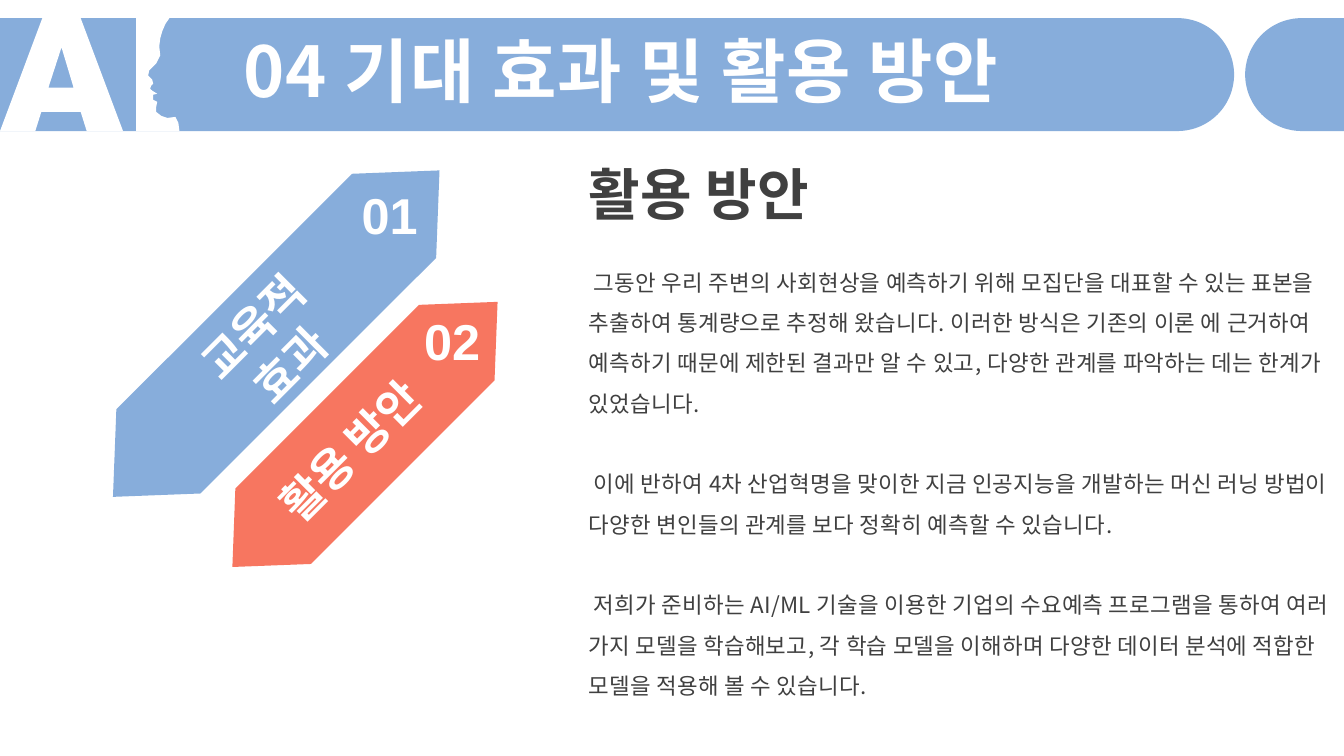
import math
from pptx import Presentation
from pptx.dml.color import RGBColor
from pptx.enum import shapes, text
from pptx.oxml import parse_xml
from pptx.oxml.ns import nsdecls
from pptx.util import Inches, Pt

COLORS = {"blue": "87ADDB", "coral": "F77660", "white": "FFFFFF", "ink": "404040"}
KOREAN = "Noto Sans CJK KR"
LATIN = "Arial"
TITLE = "04 기대 효과 및 활용 방안"
HEADING = "활용 방안"
BODY = [
    " 그동안 우리 주변의 사회현상을 예측하기 위해 모집단을 대표할 수 있는 표본을 추출하여 통계량으로 추정해 왔습니다. 이러한 방식은 기존의 이론 에 근거하여 예측하기 때문에 제한된 결과만 알 수 있고, 다양한 관계를 파악하는 데는 한계가 있었습니다.",
    " 이에 반하여 4차 산업혁명을 맞이한 지금 인공지능을 개발하는 머신 러닝 방법이 다양한 변인들의 관계를 보다 정확히 예측할 수 있습니다.",
    " 저희가 준비하는 AI/ML 기술을 이용한 기업의 수요예측 프로그램을 통하여 여러 가지 모델을 학습해보고, 각 학습 모델을 이해하며 다양한 데이터 분석에 적합한 모델을 적용해 볼 수 있습니다.",
]
ARROWS = [
    ((0.45, 2.72, 4.58, 1.18), "blue", "01", (3.43, 1.78), "교육적 효과", (1.55, 2.84, 2.29, 1.18)),
    ((1.76, 3.78, 3.72, 1.06), "coral", "02", (4.05, 3.03), "활용 방안", (2.22, 4.15, 2.5, 0.64)),
]
TILT = 315
SLIDE_W, SLIDE_H = 13.33, 7.5
TOP, BOTTOM = 0.18, 1.3
RADIUS = (BOTTOM - TOP) / 2
LETTER_A = [(0.42, TOP), (0.8, TOP), (1.22, BOTTOM), (0.86, BOTTOM), (0.8, 1.11),
            (0.41, 1.11), (0.35, BOTTOM), (0, BOTTOM)]
A_COUNTER = [(0.61, 0.47), (0.48, 0.87), (0.73, 0.87)]
FACE = [(1.35, TOP), (1.68, TOP), (1.64, 0.24), (1.61, 0.31), (1.59, 0.38), (1.58, 0.46),
        (1.59, 0.55), (1.55, 0.63), (1.51, 0.67), (1.48, 0.7), (1.47, 0.75), (1.51, 0.79),
        (1.52, 0.83), (1.5, 0.85), (1.49, 0.88), (1.51, 0.9), (1.56, 0.93), (1.52, 0.94),
        (1.52, 0.99), (1.56, 1.01), (1.55, 1.06), (1.55, 1.11), (1.6, 1.15), (1.66, 1.17),
        (1.74, 1.16), (1.77, 1.22), (1.78, BOTTOM), (1.35, BOTTOM)]

prs = Presentation()
prs.slide_width, prs.slide_height = Inches(SLIDE_W), Inches(SLIDE_H)
slide = prs.slides.add_slide(prs.slide_layouts[6])


def paint(sp, color):
    sp.shadow.inherit = False
    sp.fill.solid()
    sp.fill.fore_color.rgb = RGBColor.from_string(COLORS[color])
    sp.line.fill.background()


def add_outline(color, *contours):
    builder = None
    for contour in contours:
        points = [(Inches(x), Inches(y)) for x, y in contour]
        if builder is None:
            builder = slide.shapes.build_freeform(*points[0])
        else:
            builder.move_to(*points[0])
        builder.add_line_segments(points[1:], close=True)
    paint(builder.convert_to_shape(), color)


def add_text(box, paragraphs, align=None, anchor=text.MSO_ANCHOR.TOP, rotation=0):
    sp = slide.shapes.add_textbox(*map(Inches, box))
    sp.rotation = rotation
    tf = sp.text_frame
    tf.word_wrap = True
    tf.vertical_anchor = anchor
    for i, (words, size, font, color, bold, line, before, tracking) in enumerate(paragraphs):
        p = tf.paragraphs[0] if i == 0 else tf.add_paragraph()
        p.text = words
        p.alignment = align
        p.space_before = Pt(before)
        if line:
            p.line_spacing = Pt(line)
        r = p.runs[0]
        r.font.size, r.font.bold, r.font.name = Pt(size), bold, font
        r.font.color.rgb = RGBColor.from_string(COLORS[color])
        r.font._element.append(parse_xml(f'<a:ea {nsdecls("a")} typeface="{font}"/>'))
        if tracking:
            r.font._element.set("spc", str(tracking))


def half_circle(center_x, side):
    angles = [math.radians(a) for a in range(-90, 91, 3)]
    return [(center_x + side * RADIUS * math.cos(a), TOP + RADIUS + RADIUS * math.sin(a))
            for a in angles]


add_outline("blue", [(0, TOP), *half_circle(11.68, 1), (0, BOTTOM)])
add_outline("white", LETTER_A, A_COUNTER)
add_outline("white", FACE)
add_outline("blue", [(SLIDE_W, TOP), *half_circle(12.91, -1), (SLIDE_W, BOTTOM)])
add_text((2.32, 0.38, 10.69, 0.79), [(TITLE, 50, KOREAN, "white", True, 48, 0, 60)],
         anchor=text.MSO_ANCHOR.MIDDLE)

for box, color, number, number_at, label, label_box in ARROWS:
    arrow = slide.shapes.add_shape(shapes.MSO_SHAPE.HEXAGON, *map(Inches, box))
    arrow.adjustments[0] = 0.54
    arrow.rotation = TILT
    paint(arrow, color)
    add_text((*number_at, 0.87, 0.71), [(number, 36, LATIN, "white", True, None, 0, 0)],
             text.PP_ALIGN.CENTER)
    add_text(label_box, [(label, 32, KOREAN, "white", True, 38.4, 0, 0)],
             text.PP_ALIGN.CENTER, rotation=TILT)

content = [(HEADING, 40, KOREAN, "ink", True, 46.4, 0, 40)]
for i, words in enumerate(BODY):
    content.append((words, 16, KOREAN, "ink", False, 28.8, 28.8 if i else 20.2, 24))
add_text((5.74, 1.56, 7.58, 5.49), content)

prs.save("out.pptx")
